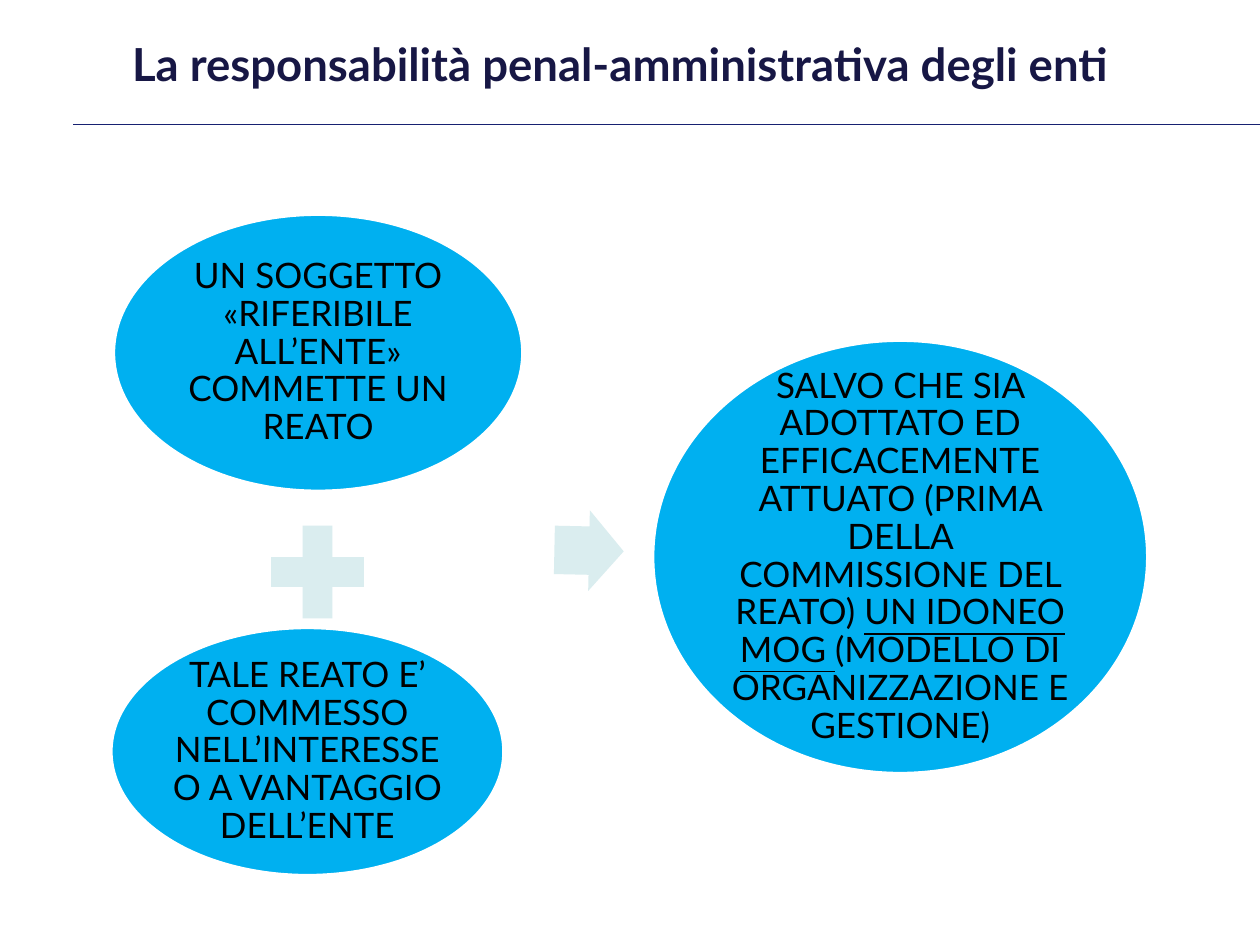
from lxml.etree import SubElement
from pptx import Presentation
from pptx.dml.color import RGBColor
from pptx.enum.shapes import MSO_CONNECTOR, MSO_SHAPE
from pptx.enum.text import MSO_ANCHOR, PP_ALIGN
from pptx.oxml.ns import qn
from pptx.util import Inches, Pt

BLUE, PALE, WHITE = "00B0F0", "DAEDEF", "FFFFFF"
NAVY, RULE, BLACK = "171745", "172171", "000000"
BODY = {"name": "Lato", "size": Pt(20)}
HEAD = {"name": "Lato", "size": Pt(26), "bold": True}


def color(code):
    return RGBColor.from_string(code)


def style(item, values):
    for key, value in values.items():
        setattr(item, key, value)


def add_runs(para, runs, font, code):
    for text, extra in runs:
        run = para.add_run()
        run.text = text
        style(run.font, {**font, **extra})
        run.font.color.rgb = color(code)


def add_form(slide, kind, box, fill):
    form = slide.shapes.add_shape(kind, *map(Inches, box))
    form.shadow.inherit = False
    form.fill.solid()
    form.fill.fore_color.rgb = color(fill)
    form.line.fill.background()
    return form


def add_oval(slide, box, runs):
    oval = add_form(slide, MSO_SHAPE.OVAL, box, BLUE)
    oval.line.color.rgb = color(WHITE)
    oval.line.width = Pt(2)
    frame = oval.text_frame
    sides = ("left", "top", "right", "bottom")
    style(frame, {f"margin_{side}": Inches(0.03) for side in sides})
    style(frame, {"word_wrap": True, "vertical_anchor": MSO_ANCHOR.MIDDLE})
    para = frame.paragraphs[0]
    style(para, {"alignment": PP_ALIGN.CENTER, "line_spacing": 0.9})
    add_runs(para, runs, BODY, BLACK)


def add_title(slide, box, text):
    frame = slide.shapes.add_textbox(*map(Inches, box)).text_frame
    style(frame, {"word_wrap": True, "vertical_anchor": MSO_ANCHOR.MIDDLE})
    para = frame.paragraphs[0]
    para.alignment = PP_ALIGN.JUSTIFY
    add_runs(para, [(text, {})], HEAD, NAVY)


def add_rule(slide, left, right, top):
    ends = map(Inches, (left, top, right, top))
    rule = slide.shapes.add_connector(MSO_CONNECTOR.STRAIGHT, *ends)
    rule.line.color.rgb = color(RULE)
    rule.line.width = Pt(0.75)
    SubElement(rule._element.spPr, qn("a:effectLst"))


def main():
    deck = Presentation()
    style(deck, {"slide_width": Inches(10), "slide_height": Inches(7.5)})
    slide = deck.slides.add_slide(deck.slide_layouts[6])

    # Heading and rule
    add_rule(slide, 0.58, 10, 0.99)
    add_title(slide, (0.95, 0, 8.5, 1),
              "La responsabilità penal-amministrativa degli enti")

    # The two conditions, added together
    add_oval(slide, (0.9, 1.7, 3.25, 2.2), [
        ("UN SOGGETTO «RIFERIBILE ALL’ENTE» COMMETTE UN REATO", {})])
    add_form(slide, MSO_SHAPE.MATH_PLUS, (2.02, 4.04, 1, 1), PALE)
    add_oval(slide, (0.88, 4.98, 3.12, 1.97), [
        ("TALE REATO E’ COMMESSO NELL’INTERESSE O A VANTAGGIO DELL’ENTE",
         {})])

    # Arrow to the exemption
    arrow = add_form(slide, MSO_SHAPE.RIGHT_ARROW,
                     (4.4, 4.05, 0.55, 0.64), PALE)
    arrow.rotation = 1.2
    arrow.adjustments[0] = 0.6
    add_oval(slide, (5.18, 2.7, 3.93, 3.44), [
        ("SALVO CHE SIA ADOTTATO ED EFFICACEMENTE ATTUATO "
         "(PRIMA DELLA COMMISSIONE DEL REATO) ", {}),
        ("UN IDONEO MOG ", {"underline": True}),
        ("(MODELLO DI ORGANIZZAZIONE E GESTIONE)", {})])

    deck.save("out.pptx")


if __name__ == "__main__":
    main()
